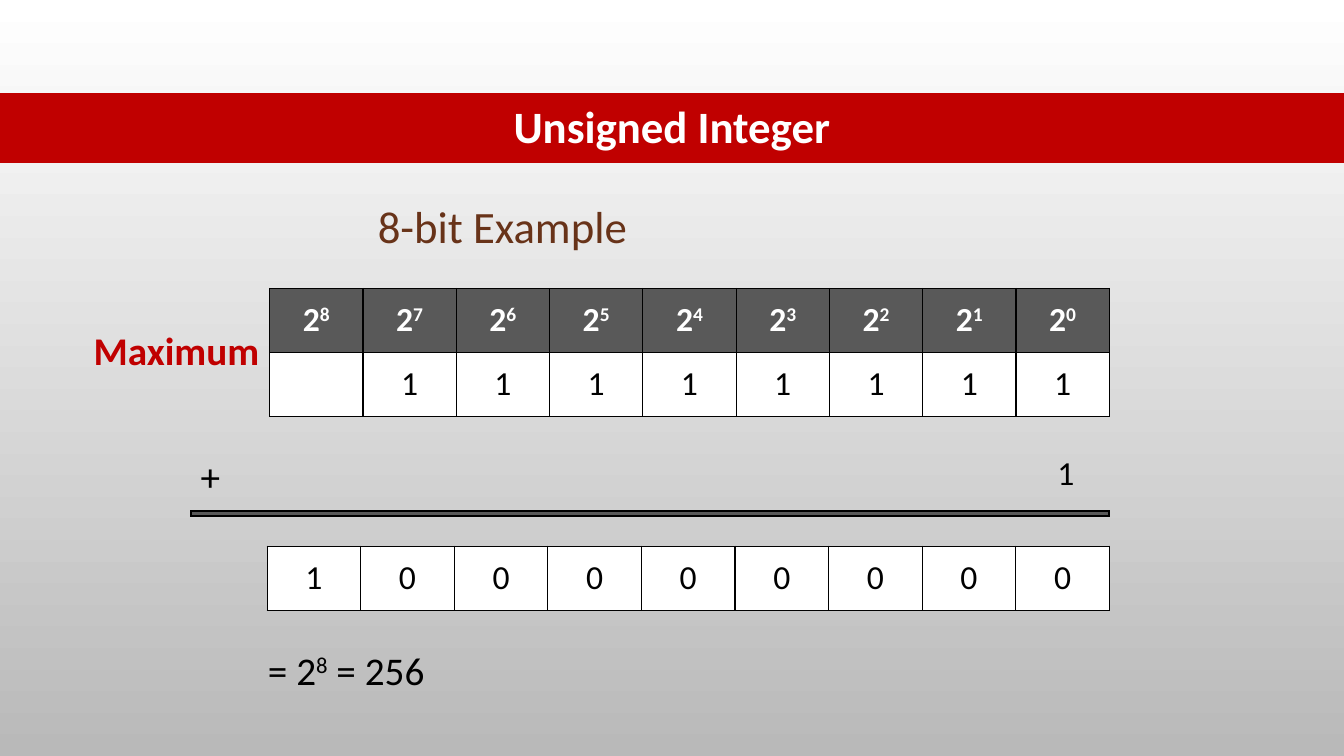
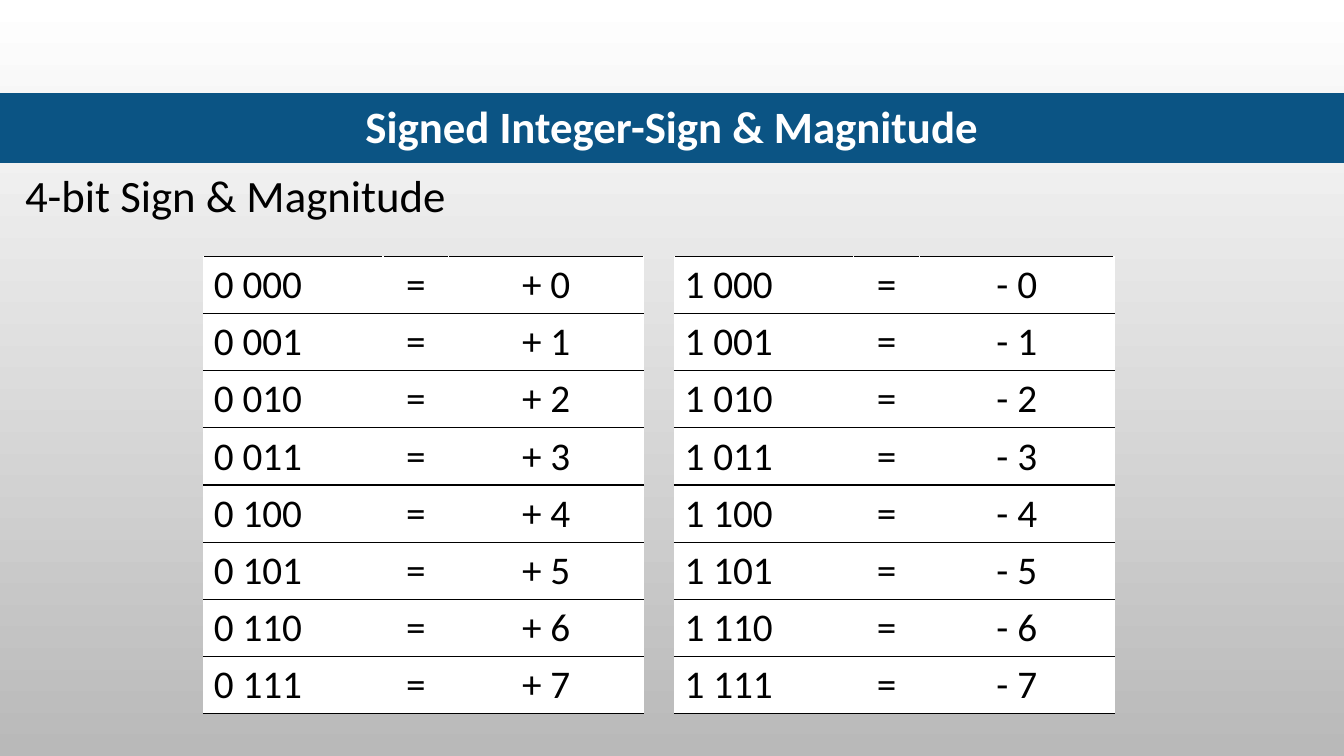
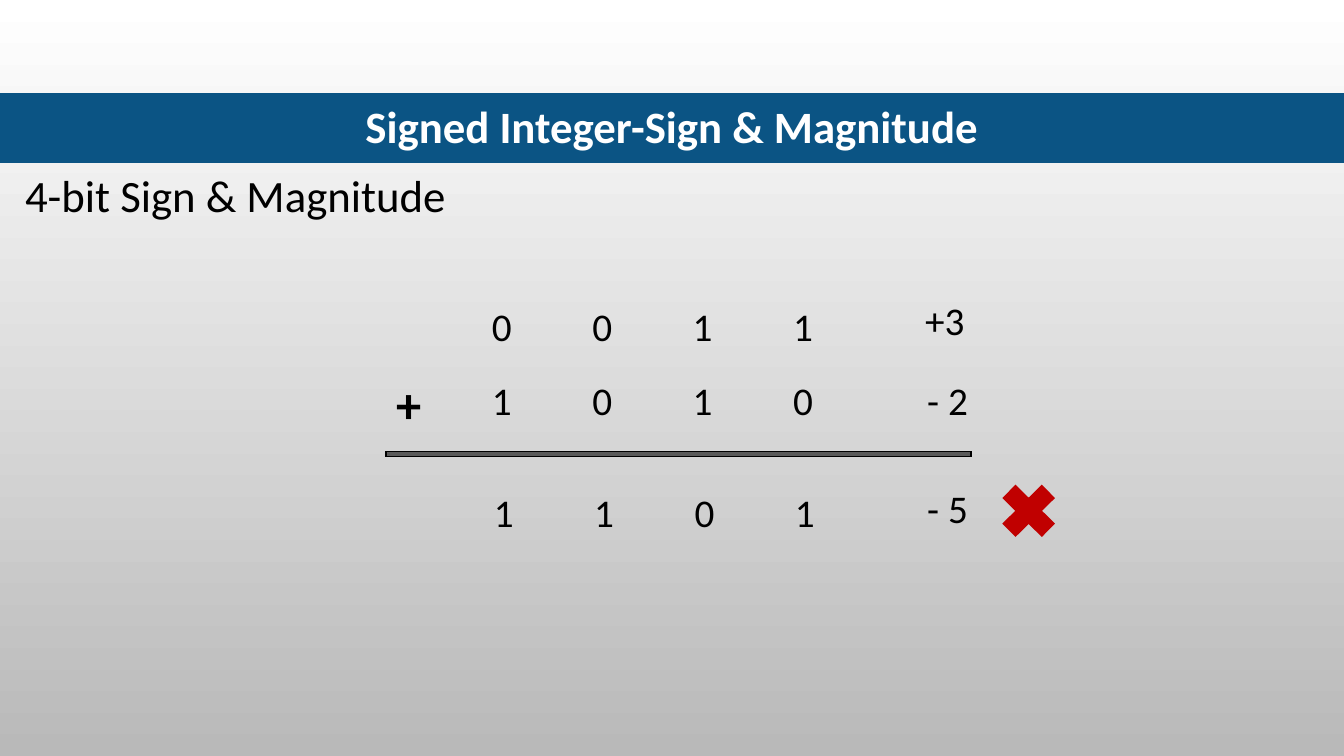
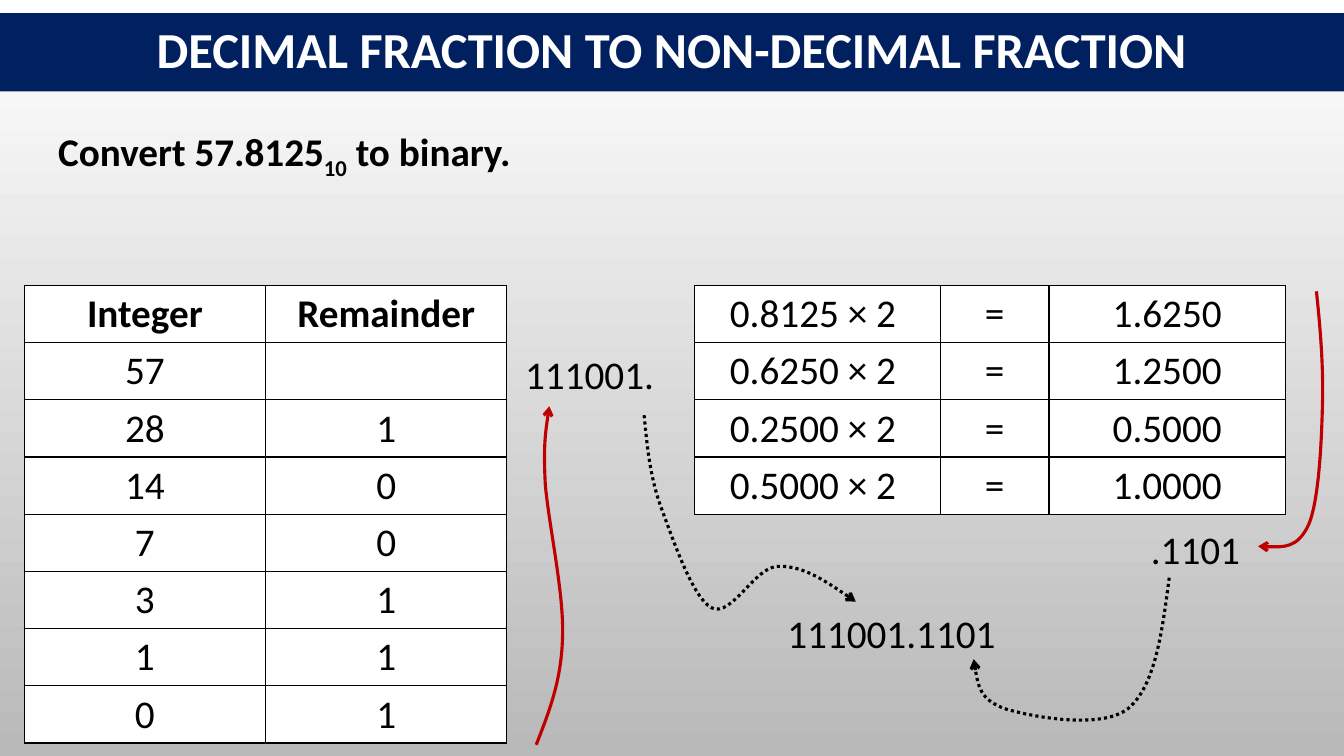
from lxml import etree
from pptx import Presentation
from pptx.dml.color import RGBColor
from pptx.enum import dml, shapes, text
from pptx.oxml import ns
from pptx.util import Pt

FONT = "Calibri"
BLACK, WHITE, GREY = "000000", "FFFFFF", "595959"
RED, BLUE, NAVY, BROWN = "C00000", "0B5484", "002060", "683319"
WIDTH, HEIGHT = 960, 540
LEFT, CENTER = text.PP_ALIGN.LEFT, text.PP_ALIGN.CENTER
TOP, MIDDLE = text.MSO_ANCHOR.TOP, text.MSO_ANCHOR.MIDDLE
NO_STYLE = "{2D5ABB26-0587-4C30-8999-92F81FD0307C}"
GRID = dict.fromkeys("LRTB", BLACK)
ROW_LINES = {"L": WHITE, "R": WHITE, "T": BLACK, "B": BLACK}
TITLE = {"color": WHITE, "bold": True}
ROW = 40.85  # height of a 28 point table row


def rgb(color):
    return RGBColor.from_string(color)


# Text
def write(tf, content, size=28, color=BLACK, bold=False, align=LEFT, spacing=None):
    """Content is a string, or a list of (string, baseline percent) runs."""
    p = tf.paragraphs[0]
    p.alignment = align
    if spacing:
        p.line_spacing = spacing
    for string, baseline in [(content, 0)] if isinstance(content, str) else content:
        r = p.add_run()
        r.text = string
        r.font.name, r.font.size, r.font.bold = FONT, Pt(size), bold
        r.font.color.rgb = rgb(color)
        if baseline:
            r.font._element.set("baseline", str(baseline * 1000))


def power(exponent):
    return [("2", 0), (str(exponent), 30)]


def label(s, x, y, w, h, content, **fmt):
    tf = s.shapes.add_textbox(Pt(x), Pt(y), Pt(w), Pt(h)).text_frame
    tf.word_wrap = False
    tf.auto_size = text.MSO_AUTO_SIZE.SHAPE_TO_FIT_TEXT
    write(tf, content, **fmt)


# Tables
def set_borders(cell, borders):
    tcPr = cell._tc.get_or_add_tcPr()
    for side, color in borders.items():
        ln = etree.SubElement(tcPr, ns.qn("a:ln" + side), w=str(Pt(1)))
        fill = etree.SubElement(ln, ns.qn("a:solidFill"))
        etree.SubElement(fill, ns.qn("a:srgbClr"), val=color)


def table(s, x, y, widths, row_height, rows, fill=WHITE, borders=GRID,
          header_fill=None, header=None, first_align=CENTER, first_anchor=MIDDLE,
          **fmt):
    """A None cell stays bare; header holds text formats for the first row."""
    frame = s.shapes.add_table(len(rows), len(widths), Pt(x), Pt(y),
                               Pt(sum(widths)), Pt(row_height * len(rows)))
    tbl = frame.table
    tbl.first_row = tbl.horz_banding = False
    tbl._tbl.tblPr.find(ns.qn("a:tableStyleId")).text = NO_STYLE
    for column, width in zip(tbl.columns, widths):
        column.width = Pt(width)
    for i, row in enumerate(rows):
        tbl.rows[i].height = Pt(row_height)
        for j, content in enumerate(row):
            if content is None:
                continue
            cell = tbl.cell(i, j)
            cell.vertical_anchor = first_anchor if j == 0 else MIDDLE
            set_borders(cell, borders)
            color = header_fill if header_fill and i == 0 else fill
            if color:
                cell.fill.solid()
                cell.fill.fore_color.rgb = rgb(color)
            if content:
                extra = header if header and i == 0 else {}
                align = first_align if j == 0 else CENTER
                write(cell.text_frame, content, align=align, **{**fmt, **extra})
    return tbl


# Shapes
def shape(s, kind, x, y, w, h, fill, line):
    sp = s.shapes.add_shape(kind, Pt(x), Pt(y), Pt(w), Pt(h))
    sp.shadow.inherit = False
    sp.fill.solid()
    sp.fill.fore_color.rgb = rgb(fill)
    sp.line.color.rgb = rgb(line)
    sp.line.width = Pt(1.25)
    etree.SubElement(sp.line._get_or_add_ln(), ns.qn("a:miter"), lim="800000")


def sum_line(s, x, y, w):
    shape(s, shapes.MSO_SHAPE.RECTANGLE, x, y, w, 3.6, GREY, BLACK)


def curved_arrow(s, points, color, dash=None):
    """Points are the start, then two controls and an end for each curve."""
    start, *rest = [(Pt(x), Pt(y)) for x, y in points]
    builder = s.shapes.build_freeform(*start)
    builder.add_line_segments(rest, close=False)
    sp = builder.convert_to_shape()
    sp.shadow.inherit = False
    sp.fill.background()
    sp.line.color.rgb = rgb(color)
    sp.line.width = Pt(2.25)
    if dash:
        sp.line.dash_style = dash
    etree.SubElement(sp.line._get_or_add_ln(), ns.qn("a:tailEnd"), type="arrow")
    # Join each three straight segments into one Bézier curve
    segments = list(sp._element.iter(ns.qn("a:lnTo")))
    for i in range(0, len(segments), 3):
        first, *others = segments[i:i + 3]
        first.tag = ns.qn("a:cubicBezTo")
        for segment in others:
            first.append(segment[0])
            segment.getparent().remove(segment)


# Slides
def band_slide(prs, title, color):
    """The title is a one-cell table across the slide."""
    s = prs.slides.add_slide(prs.slide_layouts[6])
    table(s, 0, 66.4, [WIDTH], 49.7, [[title]], fill=color, borders={},
          size=32, **TITLE)
    return s


def unsigned_slide(prs):
    s = band_slide(prs, "Unsigned Integer", RED)
    rows = [[None] + [power(n) for n in range(8, -1, -1)],
            [None, ""] + ["1"] * 8]
    tbl = table(s, 59.7, 206, [132.9] + [66.67] * 9, 45.8, rows, size=24,
                header_fill=GREY, header=TITLE)
    maximum = tbl.cell(0, 0)
    maximum.merge(tbl.cell(1, 0))
    maximum.vertical_anchor = MIDDLE
    set_borders(maximum, {"R": BLACK})
    write(maximum.text_frame, "Maximum", color=RED, bold=True)
    label(s, 262.8, 138.2, 196.6, 46, "8-bit Example", size=32, color=BROWN)
    label(s, 136.2, 319.4, 33, 41, "+")
    label(s, 748.3, 319, 28, 36, "1", size=24)
    sum_line(s, 136.4, 365, 656)
    table(s, 190.8, 390.2, [66.85] * 9, 46, [["1"] + ["0"] * 8], size=24)
    label(s, 184.3, 458, 154, 41, [("= 2", 0), ("8", 30), (" = 256", 0)])


def sign_magnitude_slide(prs):
    s = band_slide(prs, "Signed Integer-Sign & Magnitude", BLUE)
    label(s, 10.8, 116.6, 319, 46, "4-bit Sign & Magnitude", size=32)
    return s


def values_slide(prs):
    s = sign_magnitude_slide(prs)
    for x, bit, sign in ((145.6, 0, "+"), (481.8, 1, "-")):
        rows = [[f"{bit} {n:03b}", "=", f"{sign} {n}"] for n in range(8)]
        table(s, x, 183, [128, 47, 139], ROW, rows, borders=ROW_LINES,
              first_align=LEFT, first_anchor=TOP)


def addition_slide(prs):
    s = sign_magnitude_slide(prs)
    for x, y, rows in ((322.6, 208, ["0011", "1010"]), (324, 340.6, ["1101"])):
        table(s, x, y, [71.7] * 4, 53, rows, fill=None, borders={})
    for x, y, value in ((653.8, 208, "+3"), (655.2, 265, "- 2"), (655.2, 342.7, "- 5")):
        label(s, x, y, 48, 41, value)
    sum_line(s, 275.8, 322.4, 417.6)
    label(s, 275.8, 262.8, 39, 51, "+", size=36, bold=True)
    shape(s, shapes.MSO_SHAPE.MATH_MULTIPLY, 708.5, 339, 52.6, 51.8, RED, RED)


def fraction_slide(prs):
    s = prs.slides.add_slide(prs.slide_layouts[5])
    sp = s.shapes.title
    sp.left, sp.top, sp.width, sp.height = Pt(0), Pt(9.4), Pt(WIDTH), Pt(55.9)
    sp.fill.solid()
    sp.fill.fore_color.rgb = rgb(NAVY)
    sp.text_frame.auto_size = text.MSO_AUTO_SIZE.NONE
    sp.text_frame.vertical_anchor = MIDDLE
    write(sp.text_frame, "DECIMAL FRACTION TO NON-DECIMAL FRACTION", size=36,
          align=CENTER, spacing=0.9, **TITLE)
    label(s, 34.4, 87.4, 359, 41,
          [("Convert 57.8125", 0), ("10", -25), (" to binary.", 0)], bold=True)
    divisions = [["Integer", "Remainder"], ["57", ""], ["28", "1"], ["14", "0"],
                 ["7", "0"], ["3", "1"], ["1", "1"], ["0", "1"]]
    table(s, 17.3, 203.9, [172.4] * 2, ROW, divisions, header={"bold": True})
    products = [("0.8125", "1.6250"), ("0.6250", "1.2500"),
                ("0.2500", "0.5000"), ("0.5000", "1.0000")]
    table(s, 496, 203.9, [175.7, 77.6, 169], ROW,
          [[f"{a} × 2 ", "=", b] for a, b in products])
    label(s, 368, 247, 114.5, 41, "111001.")
    label(s, 815, 371.5, 83.5, 41, ".1101")
    label(s, 555.3, 431.6, 177, 41, "111001.1101")

    # Reading direction of the digits
    curved_arrow(s, [(383, 532), (391.7, 509.8), (401, 486.7), (401.8, 455.8),
                     (403.2, 424.8), (391.7, 373.7), (389.5, 345.6),
                     (388.1, 318.2), (390.2, 304.6), (392.4, 290.2)], RED)
    curved_arrow(s, [(940.3, 208.1), (943.2, 235.4), (945.4, 262.8), (944.6, 290.2),
                     (943.9, 318.2), (941.8, 358.6), (934.6, 375.1),
                     (926.6, 391.7), (912.2, 391), (898.6, 390.2)], RED)
    # Both parts lead to the result
    dots = dml.MSO_LINE.ROUND_DOT
    curved_arrow(s, [(460.1, 296.6), (462.2, 316.8), (463.7, 337.7), (471.6, 360.7),
                     (480.2, 383.8), (494.6, 427), (508.3, 434.2),
                     (522.7, 441.4), (539.3, 404.6), (555.8, 404.6),
                     (573.1, 403.9), (592.6, 416.9), (611.3, 429.8)], BLACK, dots)
    curved_arrow(s, [(835.2, 412.6), (830.2, 451.4), (825.1, 490.3), (805.7, 506.2),
                     (786.2, 521.3), (736.6, 511.9), (717.8, 506.2),
                     (699.8, 499.7), (697.7, 485.3), (695.5, 470.9)], BLACK, dots)


def main():
    prs = Presentation()
    prs.slide_width, prs.slide_height = Pt(WIDTH), Pt(HEIGHT)
    # Shared background
    fill = prs.slide_master.background.fill
    fill.gradient()
    fill.gradient_angle = 270
    for stop, color in zip(fill.gradient_stops, (WHITE, "B9B9B9")):
        stop.color.rgb = rgb(color)
    unsigned_slide(prs)
    values_slide(prs)
    addition_slide(prs)
    fraction_slide(prs)
    prs.save("out.pptx")


if __name__ == "__main__":
    main()
